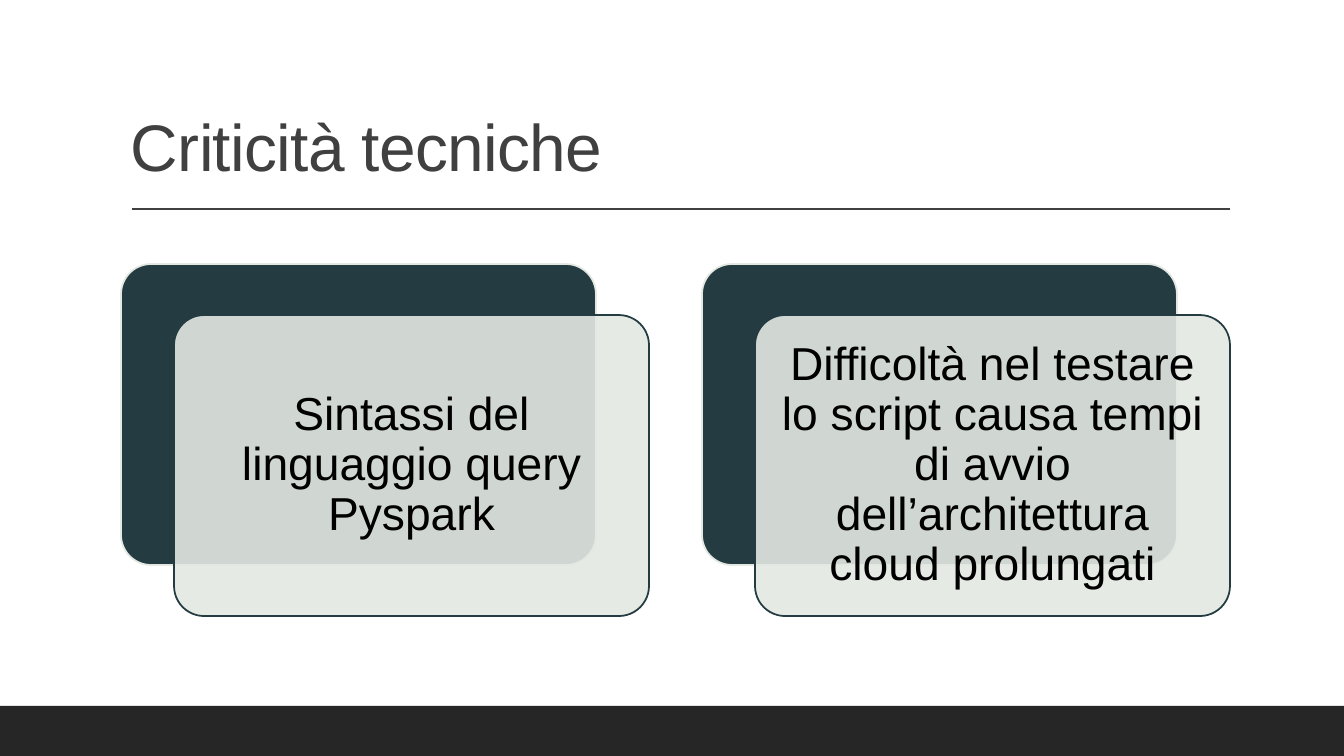
from dataclasses import dataclass

from lxml.etree import SubElement
from pptx import Presentation
from pptx.dml.color import RGBColor
from pptx.enum.shapes import MSO_CONNECTOR, MSO_SHAPE
from pptx.enum.text import MSO_ANCHOR, PP_ALIGN
from pptx.oxml.ns import qn
from pptx.shapes.autoshape import Shape
from pptx.slide import Slide
from pptx.util import Emu, Pt

EMU_PER_PX = 914400 / 100.8
SLIDE_WIDTH, SLIDE_HEIGHT = 1344, 756
FONT = "Arial"
COLORS = {
    "title": "404040",
    "footer": "262626",
    "dark": "243C41",
    "light": "E3E8E2",
    "text": "000000",
}

CARD_WIDTH, CARD_HEIGHT = 475, 301
CARD_TOP = 264
CARD_LEFT = 121
CARD_PITCH = 581
FRONT_SHIFT_X, FRONT_SHIFT_Y = 53, 51
CARD_INSET = 14


@dataclass(frozen=True)
class Box:
    left: int
    top: int
    width: int
    height: int

    def shifted(self, right: int, down: int) -> "Box":
        return Box(self.left + right, self.top + down, self.width, self.height)

    def emu(self) -> tuple[Emu, Emu, Emu, Emu]:
        return px(self.left), px(self.top), px(self.width), px(self.height)


ISSUES = (
    "Sintassi del linguaggio query Pyspark",
    "Difficoltà nel testare lo script causa tempi di avvio "
    "dell’architettura cloud prolungati",
)


def px(length: int) -> Emu:
    return Emu(round(length * EMU_PER_PX))


def color(name: str) -> RGBColor:
    return RGBColor.from_string(COLORS[name])


def add_title(slide: Slide, text: str) -> None:
    frame = slide.shapes.add_textbox(*Box(121, 31, 1109, 160).emu()).text_frame
    frame.word_wrap = True
    frame.vertical_anchor = MSO_ANCHOR.BOTTOM
    paragraph = frame.paragraphs[0]
    run = paragraph.add_run()
    run.text = text
    run.font.name = FONT
    run.font.size = Pt(47)
    run.font.color.rgb = color("title")
    run.font._element.set("spc", "-50")
    paragraph.line_spacing = 0.9


def add_title_rule(slide: Slide) -> None:
    rule = slide.shapes.add_connector(
        MSO_CONNECTOR.STRAIGHT, px(132), px(209), px(1230), px(209)
    )
    rule.line.color.rgb = color("title")
    rule.line.width = Pt(1)
    SubElement(rule._element.spPr, qn("a:effectLst"))


def add_footer_band(slide: Slide) -> None:
    band = slide.shapes.add_shape(
        MSO_SHAPE.RECTANGLE, *Box(0, 706, SLIDE_WIDTH, SLIDE_HEIGHT - 706).emu()
    )
    band.shadow.inherit = False
    band.fill.solid()
    band.fill.fore_color.rgb = color("footer")
    band.line.fill.background()


def add_card(slide: Slide, box: Box, fill: str, line: str) -> Shape:
    card = slide.shapes.add_shape(MSO_SHAPE.ROUNDED_RECTANGLE, *box.emu())
    card.adjustments[0] = 0.1
    card.shadow.inherit = False
    card.fill.solid()
    card.fill.fore_color.rgb = color(fill)
    card.line.color.rgb = color(line)
    card.line.width = Pt(1.25)
    return card


def set_opacity(shape: Shape, percent: int) -> None:
    fill_color = shape._element.spPr.find(qn("a:solidFill"))[0]
    SubElement(fill_color, qn("a:alpha"), val=str(percent * 1000))


def write_card_text(card: Shape, text: str) -> None:
    frame = card.text_frame
    frame.word_wrap = True
    frame.vertical_anchor = MSO_ANCHOR.MIDDLE
    frame.margin_left = frame.margin_right = px(CARD_INSET)
    frame.margin_top = frame.margin_bottom = px(CARD_INSET)
    paragraph = frame.paragraphs[0]
    paragraph.text = text
    paragraph.alignment = PP_ALIGN.CENTER
    paragraph.line_spacing = 0.9
    paragraph.font.name = FONT
    paragraph.font.size = Pt(33)
    paragraph.font.color.rgb = color("text")


def add_issue(slide: Slide, box: Box, text: str) -> None:
    """Draw a dark card with a translucent text card shifted in front of it."""
    add_card(slide, box, "dark", "light")
    front = add_card(slide, box.shifted(FRONT_SHIFT_X, FRONT_SHIFT_Y), "light", "dark")
    set_opacity(front, 90)
    write_card_text(front, text)


def main() -> None:
    presentation = Presentation()
    presentation.slide_width = px(SLIDE_WIDTH)
    presentation.slide_height = px(SLIDE_HEIGHT)
    slide = presentation.slides.add_slide(presentation.slide_layouts[6])

    add_title(slide, "Criticità tecniche")
    add_title_rule(slide)
    add_footer_band(slide)
    first_box = Box(CARD_LEFT, CARD_TOP, CARD_WIDTH, CARD_HEIGHT)
    for index, text in enumerate(ISSUES):
        add_issue(slide, first_box.shifted(index * CARD_PITCH, 0), text)

    presentation.save("out.pptx")


if __name__ == "__main__":
    main()
